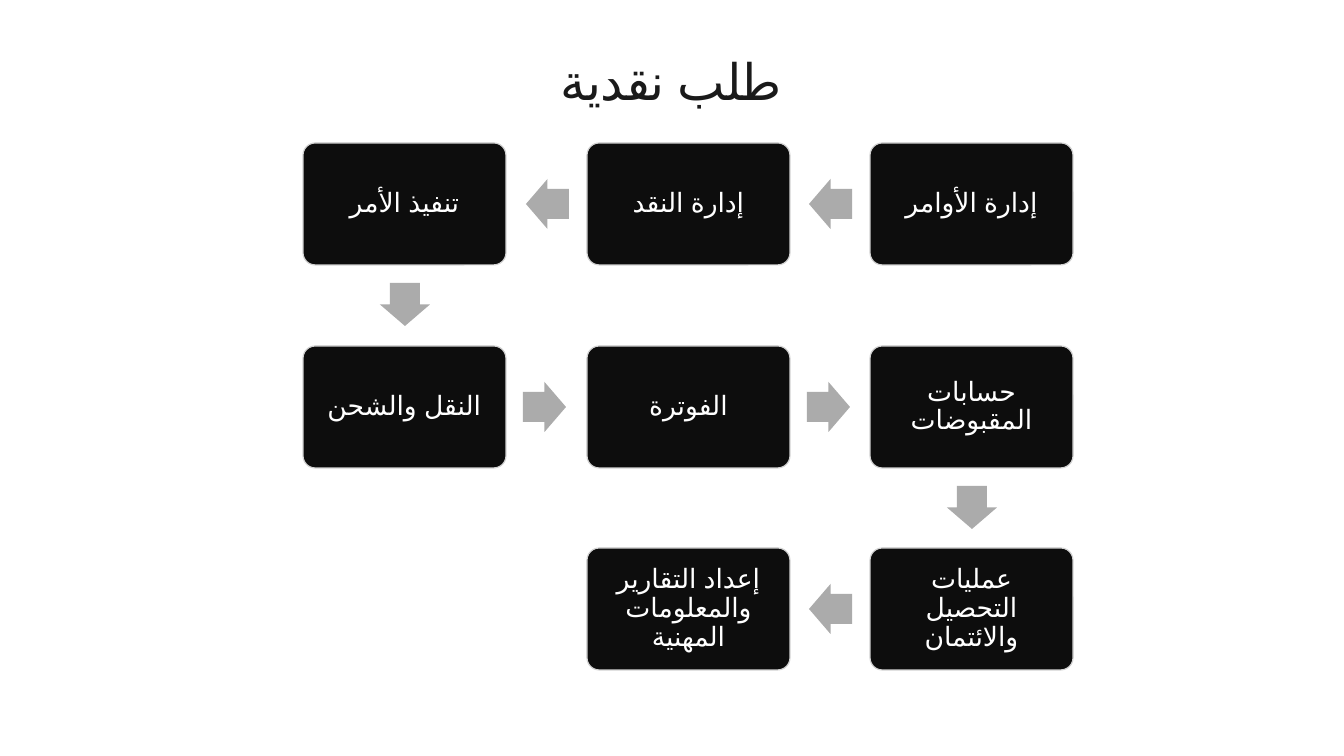
import pptx
import pptx.util
import pptx.dml.color
import pptx.enum.shapes
import pptx.enum.text
import pptx.oxml.ns
import lxml.etree

PX = 914400 / 100.8
COLORS = {"title": "1A1A1A", "box": "0D0D0D", "border": "D2D2D2",
          "text": "FFFFFF", "arrow": "ABABAB"}
SHAPES = pptx.enum.shapes.MSO_SHAPE


def px(*lengths):
    return [pptx.util.Emu(round(length * PX)) for length in lengths]


def add_run(paragraph, text, size, color):
    paragraph.alignment = pptx.enum.text.PP_ALIGN.CENTER
    paragraph._p.get_or_add_pPr().set("rtl", "1")
    run = paragraph.add_run()
    run.text = text
    run.font.size = pptx.util.Pt(size)
    run.font.name = "Arial"
    run.font.color.rgb = pptx.dml.color.RGBColor.from_string(COLORS[color])
    # Arabic glyphs take the complex-script typeface and the run language
    properties = run.font._element
    properties.set("lang", "ar-SA")
    lxml.etree.SubElement(properties, pptx.oxml.ns.qn("a:cs"), typeface="Arial")
    return properties


presentation = pptx.Presentation()
presentation.slide_width = pptx.util.Inches(13.333)
presentation.slide_height = pptx.util.Inches(7.5)
slide = presentation.slides.add_slide(presentation.slide_layouts[6])

# Title
title = slide.shapes.add_textbox(*px(64, 50, 1215, 61))
frame = title.text_frame
frame.word_wrap = True
frame.margin_left = frame.margin_top = frame.margin_right = frame.margin_bottom = 0
add_run(frame.paragraphs[0], "طلب نقدية", 36, "title").set("spc", "-50")

# Steps in process order: column, row, label, direction of the arrow that follows
STEPS = [
    (2, 0, "إدارة الأوامر", "left"),
    (1, 0, "إدارة النقد", "left"),
    (0, 0, "تنفيذ الأمر", "down"),
    (0, 1, "النقل والشحن", "right"),
    (1, 1, "الفوترة", "right"),
    (2, 1, "حسابات المقبوضات", "down"),
    (2, 2, "عمليات التحصيل والائتمان", "left"),
    (1, 2, "إعداد التقارير والمعلومات المهنية", None),
]
# Arrow shape, then offset from its step and size
ARROWS = {
    "left": (SHAPES.LEFT_ARROW, -61, 36, 43, 50),
    "right": (SHAPES.RIGHT_ARROW, 220, 36, 43, 50),
    "down": (SHAPES.DOWN_ARROW, 77, 140, 50, 43),
}

for column, row, label, direction in STEPS:
    left = 303 + (567 * column + 1) // 2
    top = 143 + (405 * row + 1) // 2

    # Step box
    box = slide.shapes.add_shape(SHAPES.ROUNDED_RECTANGLE, *px(left, top, 203, 122))
    box.adjustments[0] = 0.1
    box.shadow.inherit = False
    box.fill.solid()
    box.fill.fore_color.rgb = pptx.dml.color.RGBColor.from_string(COLORS["box"])
    box.line.color.rgb = pptx.dml.color.RGBColor.from_string(COLORS["border"])
    box.line.width = pptx.util.Pt(0.85)
    frame = box.text_frame
    frame.word_wrap = True
    frame.vertical_anchor = pptx.enum.text.MSO_ANCHOR.MIDDLE
    frame.margin_left, frame.margin_top, frame.margin_right, frame.margin_bottom = px(11, 11, 11, 11)
    frame.paragraphs[0].line_spacing = 0.9
    add_run(frame.paragraphs[0], label, 19, "text")

    # Arrow to the next step
    if direction:
        kind, shift_x, shift_y, width, height = ARROWS[direction]
        arrow = slide.shapes.add_shape(kind, *px(left + shift_x, top + shift_y, width, height))
        arrow.adjustments[0] = 0.6
        arrow.adjustments[1] = 0.5
        arrow.shadow.inherit = False
        arrow.fill.solid()
        arrow.fill.fore_color.rgb = pptx.dml.color.RGBColor.from_string(COLORS["arrow"])
        arrow.line.fill.background()

presentation.save("out.pptx")
